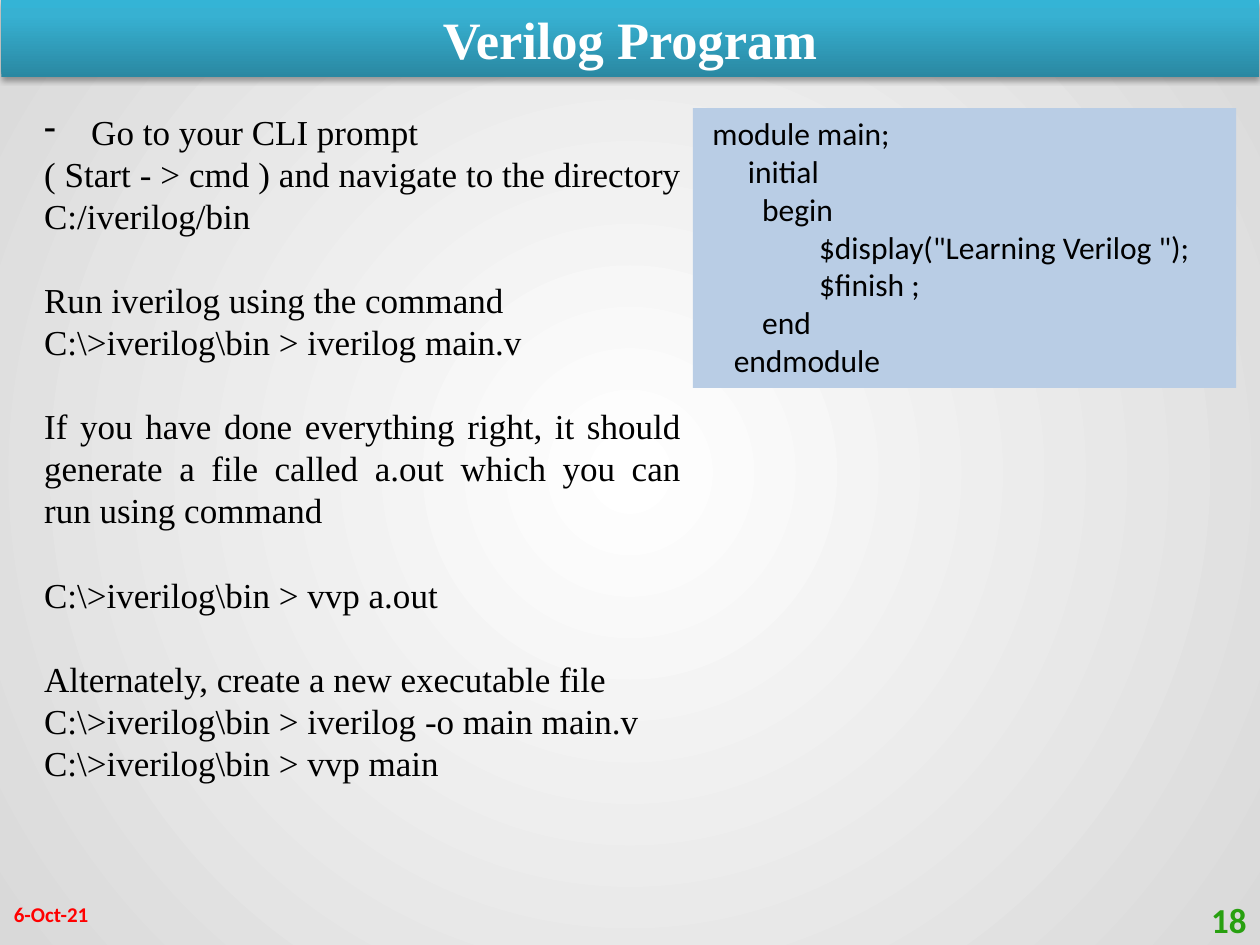
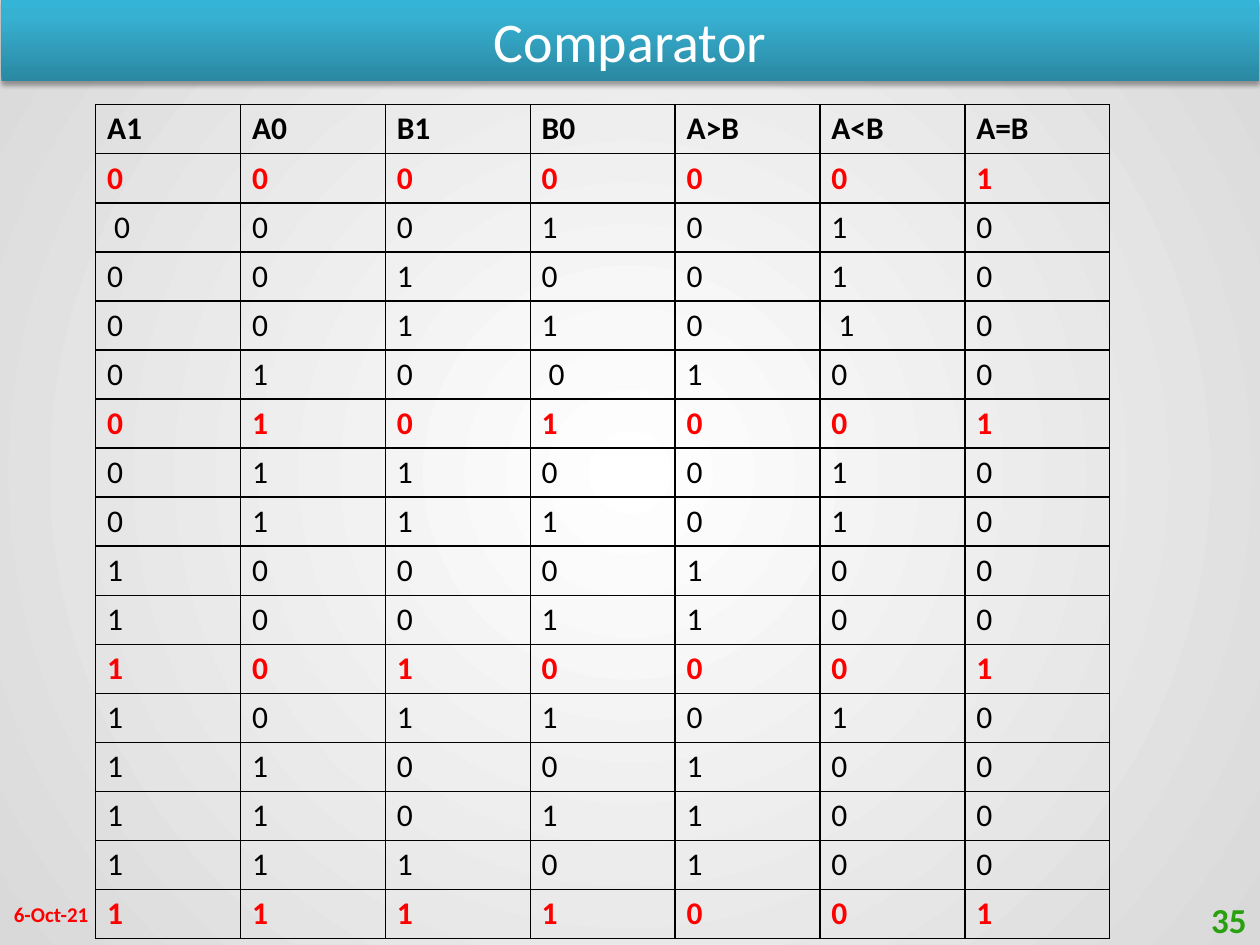
from dataclasses import dataclass
from itertools import product

from lxml.etree import SubElement
from pptx import Presentation
from pptx.dml.color import RGBColor
from pptx.enum.shapes import MSO_SHAPE
from pptx.enum.text import MSO_ANCHOR, PP_ALIGN
from pptx.oxml import parse_xml
from pptx.oxml.ns import nsdecls, qn
from pptx.util import Cm, Pt


@dataclass(frozen=True)
class Style:
    size: int
    color: str
    face: str = "Calibri"
    bold: bool = False


@dataclass(frozen=True)
class Box:
    left: float
    top: float
    width: float
    height: float

    def cm(self) -> tuple:
        return Cm(self.left), Cm(self.top), Cm(self.width), Cm(self.height)


@dataclass(frozen=True)
class Theme:
    page: tuple = ((0, "FFFFFF"), (100, "D9D9D9"))
    band: tuple = ((0, "2A88A2"), (80, "37B1D2"), (100, "34B4D6"))
    panel: str = "B9CDE5"
    rule: str = "000000"
    serif: Style = Style(30, "FFFFFF", "Times New Roman", True)
    sans: Style = Style(32, "FFFFFF")
    date: Style = Style(12, "FF0000", bold=True)
    number: Style = Style(20, "28A010", bold=True)
    steps: Style = Style(20, "000000", "Times New Roman")
    code: Style = Style(18, "000000")
    head: Style = Style(18, "000000", bold=True)
    equal: Style = Style(18, "FF0000", bold=True)


THEME = Theme()
DATE = "6-Oct-21"
DATE_BOX = Box(0.03, 17.91, 5.92, 1.02)
NUMBER_BOX = Box(19.46, 18.03, 5.92, 1.02)
CODE_BOX = Box(13.97, 2.18, 10.95, 5.64)
STEPS_BOX = Box(0.64, 2.11, 13.34, 15.65)
TABLE_BOX = Box(1.93, 2.11, 20.44, 16.83)

CODE = """ module main;
      initial
        begin
                $display("Learning Verilog ");
                $finish ;
        end
    endmodule"""

# Each group is set off from the one before by a line of space.
STEPS = (
    ("Go to your CLI prompt",
     "( Start - > cmd ) and navigate to the directory C:/iverilog/bin"),
    ("Run iverilog using the command",
     r"C:\>iverilog\bin > iverilog main.v"),
    ("If you have done everything right, it should generate a file called "
     "a.out which you can run using command",),
    (r"C:\>iverilog\bin > vvp a.out",),
    ("Alternately, create a new executable file",
     r"C:\>iverilog\bin > iverilog -o main main.v",
     r"C:\>iverilog\bin > vvp main"),
)

HEADS = ("A1", "A0", "B1", "B0", "A>B", "A<B", "A=B")
NUDGED = {(2, 0), (4, 5), (5, 3)}  # row and column of slightly indented cells


def blend(stops: tuple, shade: str):
    """Make a gradient fill element from its stops and its shade element."""
    marks = "".join(
        f'<a:gs pos="{at * 1000}"><a:srgbClr val="{color}"/></a:gs>'
        for at, color in stops)
    return parse_xml(f'<a:gradFill {nsdecls("a")} rotWithShape="1">'
                     f"<a:gsLst>{marks}</a:gsLst>{shade}</a:gradFill>")


def swap_fill(fill, root, new) -> None:
    """Put a gradient where the fill of root would stand."""
    fill.solid()
    old = next(root.iter(qn("a:solidFill")))
    old.getparent().replace(old, new)


def write(par, text: str, style: Style, align=PP_ALIGN.LEFT) -> None:
    par.text = text
    par.alignment = align
    font = par.font
    font.size, font.name, font.bold = Pt(style.size), style.face, style.bold
    font.color.rgb = RGBColor.from_string(style.color)


def add_text(slide, box: Box, text: str, style: Style,
             align=PP_ALIGN.LEFT) -> None:
    frame = slide.shapes.add_textbox(*box.cm()).text_frame
    frame.word_wrap = True
    frame.vertical_anchor = MSO_ANCHOR.MIDDLE
    write(frame.paragraphs[0], text, style, align)


def add_block(slide, box: Box):
    block = slide.shapes.add_shape(MSO_SHAPE.RECTANGLE, *box.cm())
    block.shadow.inherit = False
    block.line.fill.background()
    block.text_frame.word_wrap = True
    return block


def add_band(slide, title: str, style: Style, height: float) -> None:
    band = add_block(slide, Box(0.03, 0, 25.35, height))
    swap_fill(band.fill, band.element.spPr,
              blend(THEME.band, '<a:lin ang="16200000" scaled="0"/>'))
    glow = band.element.spPr.find(qn("a:effectLst"))
    glow.append(parse_xml(
        f'<a:outerShdw {nsdecls("a")} blurRad="{Pt(3.1)}" dist="{Pt(1.8)}" '
        'dir="5400000" rotWithShape="0"><a:srgbClr val="000000">'
        '<a:alpha val="35000"/></a:srgbClr></a:outerShdw>'))
    write(band.text_frame.paragraphs[0], title, style, PP_ALIGN.CENTER)


def add_page(deck, title: str, style: Style, height: float, number: int):
    """Add a slide with its ground, title band, date and number."""
    slide = deck.slides.add_slide(deck.slide_layouts[6])
    swap_fill(slide.background.fill, slide.element, blend(
        THEME.page, '<a:path path="circle"><a:fillToRect l="50000" '
        't="50000" r="50000" b="50000"/></a:path>'))
    add_band(slide, title, style, height)
    add_text(slide, DATE_BOX, DATE, THEME.date)
    add_text(slide, NUMBER_BOX, str(number), THEME.number, PP_ALIGN.RIGHT)
    return slide


def add_code(slide) -> None:
    panel = add_block(slide, CODE_BOX)
    panel.fill.solid()
    panel.fill.fore_color.rgb = RGBColor.from_string(THEME.panel)
    frame = panel.text_frame
    frame.vertical_anchor = MSO_ANCHOR.TOP
    for row, line in enumerate(CODE.split("\n")):
        par = frame.add_paragraph() if row else frame.paragraphs[0]
        write(par, line, THEME.code)


def add_steps(slide) -> None:
    frame = slide.shapes.add_textbox(*STEPS_BOX.cm()).text_frame
    frame.word_wrap = True
    first = frame.paragraphs[0]
    props = first._p.get_or_add_pPr()
    props.set("marL", str(Cm(0.95)))
    props.set("indent", str(-Cm(0.95)))
    SubElement(props, qn("a:buChar")).set("char", "-")
    for group, lines in enumerate(STEPS):
        for row, line in enumerate(lines):
            par = frame.add_paragraph() if group or row else first
            par.line_spacing = Pt(24)
            if group and not row:
                par.space_before = Pt(24)
            write(par, line, THEME.steps, PP_ALIGN.JUSTIFY)


def add_rules(cell) -> None:
    """Draw the four borders of a cell."""
    props = cell._tc.get_or_add_tcPr()
    for side in "LRTB":
        props.append(parse_xml(
            f'<a:ln{side} {nsdecls("a")} w="{Pt(1)}"><a:solidFill>'
            f'<a:srgbClr val="{THEME.rule}"/></a:solidFill></a:ln{side}>'))


def truth_rows() -> list:
    """Compare every pair of two-bit numbers."""
    rows = []
    for bits in product((0, 1), repeat=4):
        a, b = bits[:2], bits[2:]
        rows.append((*bits, int(a > b), int(a < b), int(a == b)))
    return rows


def add_truth(slide) -> None:
    rows = [HEADS, *truth_rows()]
    table = slide.shapes.add_table(
        len(rows), len(HEADS), *TABLE_BOX.cm()).table
    table.first_row = table.horz_banding = False
    for col in table.columns:
        col.width = Cm(TABLE_BOX.width / len(HEADS))
    for r, values in enumerate(rows):
        table.rows[r].height = Cm(TABLE_BOX.height / len(rows))
        style = THEME.equal if values[-1] == 1 else THEME.code
        for c, value in enumerate(values):
            cell = table.cell(r, c)
            add_rules(cell)
            cell.fill.background()
            cell.vertical_anchor = MSO_ANCHOR.MIDDLE
            cell.margin_left = Cm(0.37 if (r, c) in NUDGED else 0.23)
            cell.margin_right = Cm(0.23)
            cell.margin_top = cell.margin_bottom = Cm(0.1)
            write(cell.text_frame.paragraphs[0], str(value),
                  style if r else THEME.head)


def main() -> None:
    deck = Presentation()
    deck.slide_width, deck.slide_height = Cm(25.4), Cm(19.05)
    program = add_page(deck, "Verilog Program", THEME.serif, 1.55, 18)
    add_code(program)
    add_steps(program)
    add_truth(add_page(deck, "Comparator", THEME.sans, 1.63, 35))
    deck.save("out.pptx")


if __name__ == "__main__":
    main()
